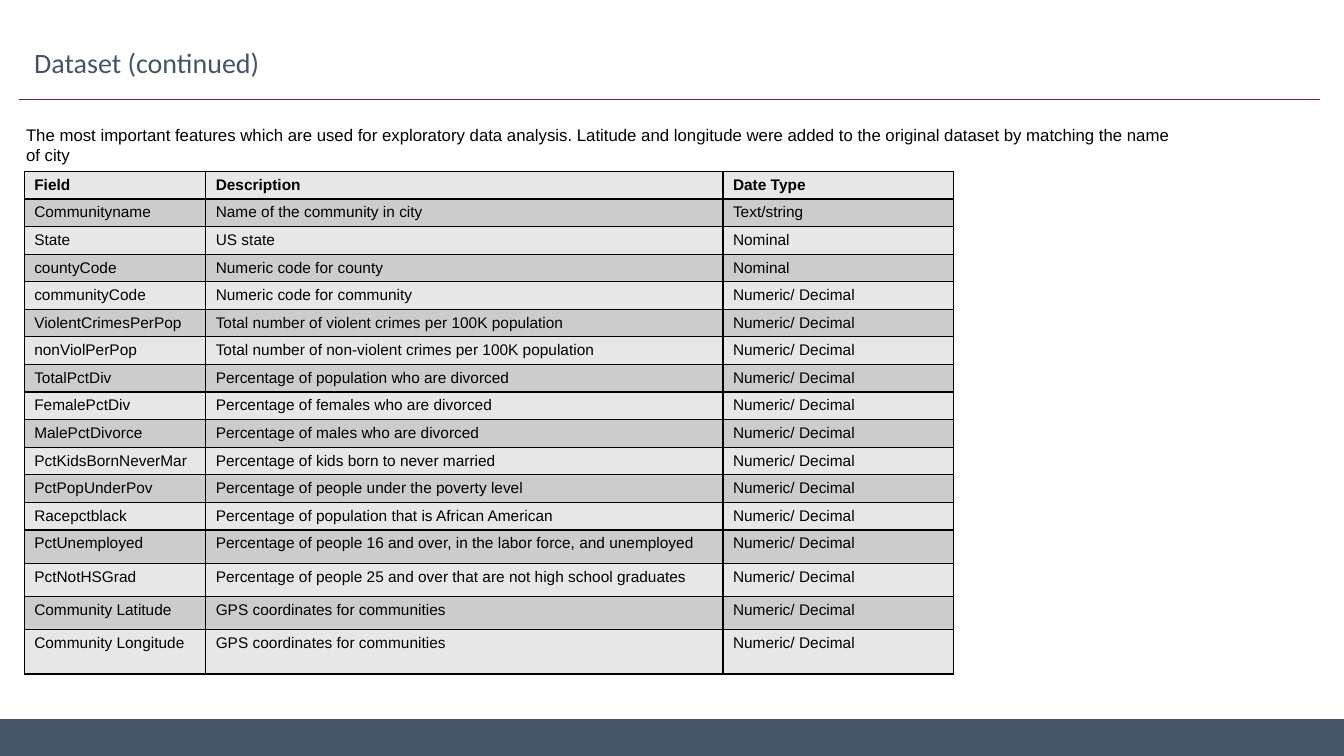
import pptx
import pptx.util
import pptx.dml.color
import pptx.enum.shapes
import pptx.oxml.ns
import lxml.etree

Inches = pptx.util.Inches
Pt = pptx.util.Pt
RGBColor = pptx.dml.color.RGBColor

NAVY = RGBColor(0x44, 0x54, 0x6A)
MAROON = RGBColor(0x78, 0x23, 0x27)
BLACK = RGBColor(0x00, 0x00, 0x00)
LIGHT = RGBColor(0xE7, 0xE7, 0xE7)
DARK = RGBColor(0xCC, 0xCC, 0xCC)

INTRO = ("The most important features which are used for exploratory data "
         "analysis. Latitude and longitude were added to the original dataset "
         "by matching the name of city")
DECIMAL = "Numeric/ Decimal"
FIELDS = [
    ("Field", "Description", "Date Type"),
    ("Communityname", "Name of the community in city", "Text/string"),
    ("State", "US state", "Nominal"),
    ("countyCode", "Numeric code for county", "Nominal"),
    ("communityCode", "Numeric code for community", DECIMAL),
    ("ViolentCrimesPerPop",
     "Total number of violent crimes per 100K population", DECIMAL),
    ("nonViolPerPop",
     "Total number of non-violent crimes per 100K population", DECIMAL),
    ("TotalPctDiv", "Percentage of population who are divorced", DECIMAL),
    ("FemalePctDiv", "Percentage of females who are divorced", DECIMAL),
    ("MalePctDivorce", "Percentage of males who are divorced", DECIMAL),
    ("PctKidsBornNeverMar", "Percentage of kids born to never married", DECIMAL),
    ("PctPopUnderPov", "Percentage of people under the poverty level", DECIMAL),
    ("Racepctblack", "Percentage of population that is African American", DECIMAL),
    ("PctUnemployed",
     "Percentage of people 16 and over, in the labor force, and unemployed",
     DECIMAL),
    ("PctNotHSGrad",
     "Percentage of people 25 and over that are not high school graduates",
     DECIMAL),
    ("Community Latitude", "GPS coordinates for communities", DECIMAL),
    ("Community Longitude", "GPS coordinates for communities", DECIMAL),
]
WIDTHS = [1.8, 5.13, 2.29]
HEIGHTS = [0.27] * 13 + [0.33] * 3 + [0.44]


def write(frame, text, size=11, font="Arial", color=BLACK, bold=False,
          spacing=None, after=None):
    frame.word_wrap = True
    para = frame.paragraphs[0]
    para.line_spacing = spacing
    para.space_after = after
    run = para.add_run()
    run.text = text
    run.font.size = Pt(size)
    run.font.name = font
    run.font.color.rgb = color
    run.font.bold = bold


def add_text(slide, left, top, width, height, text, **style):
    box = slide.shapes.add_textbox(
        Inches(left), Inches(top), Inches(width), Inches(height))
    write(box.text_frame, text, **style)


def add_bar(slide, left, top, width, height, color):
    bar = slide.shapes.add_shape(
        pptx.enum.shapes.MSO_SHAPE.RECTANGLE,
        Inches(left), Inches(top), Inches(width), Inches(height))
    bar.shadow.inherit = False
    bar.fill.solid()
    bar.fill.fore_color.rgb = color
    bar.line.color.rgb = color
    bar.line.width = Pt(0.75)


def add_rule(slide, left, right, top, color):
    rule = slide.shapes.add_connector(
        pptx.enum.shapes.MSO_CONNECTOR.STRAIGHT,
        Inches(left), Inches(top), Inches(right), Inches(top))
    rule.line.color.rgb = color
    rule.line.width = Pt(0.75)
    lxml.etree.SubElement(
        rule.element.spPr, pptx.oxml.ns.qn("a:effectLst"))


def add_border(cell, color):
    """Draw a 1 pt line on all four sides; call before the cell is filled."""
    props = cell._tc.get_or_add_tcPr()
    for side in ("lnL", "lnR", "lnT", "lnB"):
        line = lxml.etree.SubElement(
            props, pptx.oxml.ns.qn("a:" + side), w=str(Pt(1)))
        fill = lxml.etree.SubElement(line, pptx.oxml.ns.qn("a:solidFill"))
        lxml.etree.SubElement(
            fill, pptx.oxml.ns.qn("a:srgbClr"), val=str(color))


def add_grid(slide, left, top, rows, widths, heights):
    table = slide.shapes.add_table(
        len(rows), len(widths), Inches(left), Inches(top),
        Inches(sum(widths)), Inches(sum(heights))).table
    for col, width in zip(table.columns, widths):
        col.width = Inches(width)
    for i, (row, height) in enumerate(zip(rows, heights)):
        table.rows[i].height = Inches(height)
        for j, text in enumerate(row):
            cell = table.cell(i, j)
            cell.margin_bottom = Inches(0.04)
            add_border(cell, BLACK)
            cell.fill.solid()
            cell.fill.fore_color.rgb = DARK if i % 2 else LIGHT
            write(cell.text_frame, text, bold=i == 0)


def main():
    deck = pptx.Presentation()
    deck.slide_width = Inches(13.33)
    deck.slide_height = Inches(7.5)
    slide = deck.slides.add_slide(deck.slide_layouts[6])
    add_bar(slide, 0, 7.14, 13.33, 0.36, NAVY)
    add_rule(slide, 0.19, 13.09, 0.99, MAROON)
    add_text(slide, 0.24, 0.44, 10.63, 0.49, "Dataset (continued)",
             size=20, font="Calibri", color=NAVY, spacing=0.9)
    add_grid(slide, 0.24, 1.7, FIELDS, WIDTHS, HEIGHTS)
    add_text(slide, 0.16, 1.19, 11.64, 0.5, INTRO, size=12, after=Pt(3.5))
    deck.save("out.pptx")


if __name__ == "__main__":
    main()
